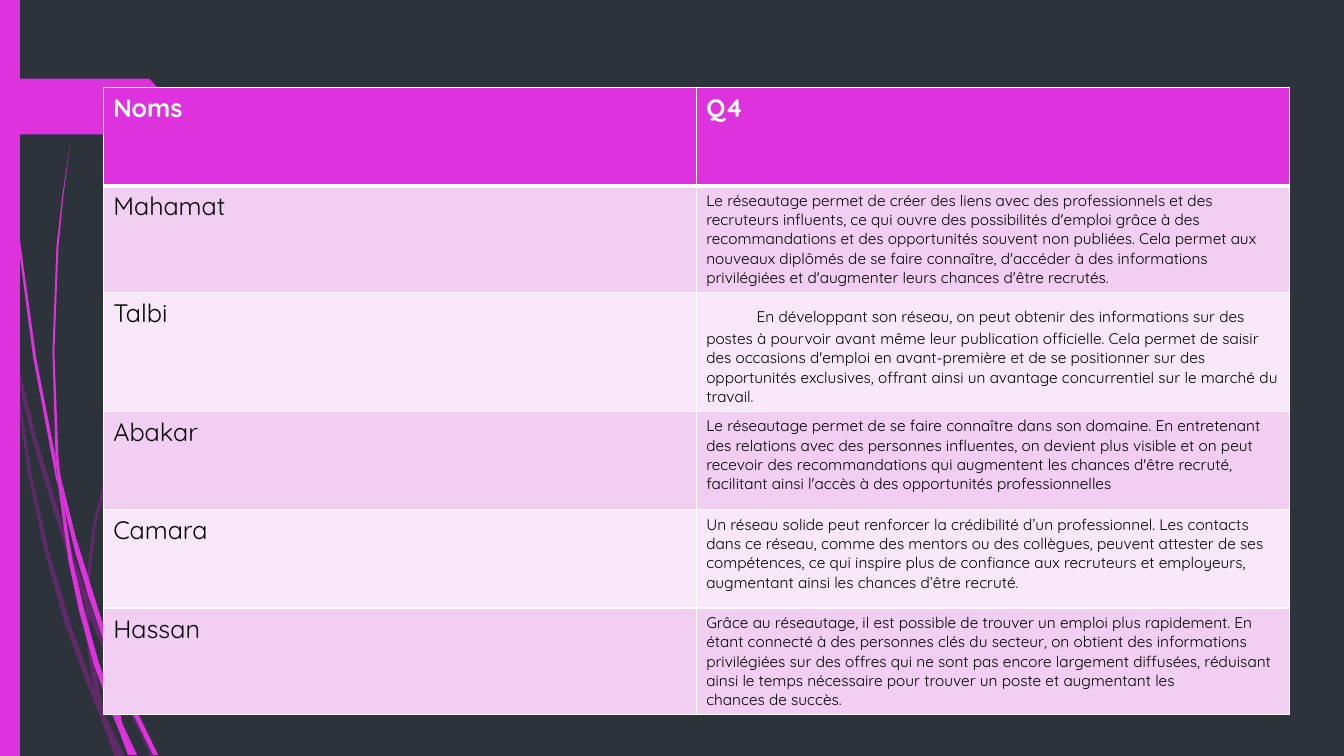
from dataclasses import dataclass

from lxml.etree import SubElement
from pptx import Presentation
from pptx.dml.color import RGBColor
from pptx.enum.shapes import MSO_SHAPE
from pptx.oxml.ns import qn
from pptx.util import Cm, Pt

COLORS = {
    "background": "2C333A",
    "accent": "DE32DE",
    "shade": "B01CB0",
    "band_dark": "F2CEF2",
    "band_light": "F9E8F9",
    "white": "FFFFFF",
    "black": "000000",
}
FONT = "Quicksand"
NO_BREAK = chr(160)
GRID = 2.54
PRECISION = 1000

SHADE_BLADES = [
    [(0.11, 3.5), (0.09, 3.22), (0, 2.82), (0, 2.99), (0.1, 3.44)],
    [(0.58, 5.22), (0.84, 5.99), (0.85, 5.86), (0.62, 5.2), (0.36, 4.34), (0.14, 3.45), (0.17, 3.76), (0.36, 4.5)],
    [(0.92, 6.07), (0.88, 5.96), (0.88, 6.1), (1.23, 6.94), (1.5, 7.51), (1.55, 7.51), (1.27, 6.92)],
    [(1.19, 7.51), (1.24, 7.51), (1.05, 7.11)],
    [(0.93, 6.83), (0.7, 6.19), (0.48, 5.45), (0.31, 4.69), (0.17, 3.76), (0.11, 3.5), (0.28, 4.7), (0.44, 5.46),
     (0.65, 6.21), (0.92, 6.93), (1.01, 7.14), (0.99, 7.07)],
    [(0.84, 5.99), (0.87, 6.46), (0.93, 6.83), (0.96, 6.92), (1.05, 7.11), (1.03, 7.06), (0.91, 6.46), (0.88, 6.08)],
    [(0.88, 5.84), (0.95, 5.22), (1.1, 4.62), (1.6, 3.49), (2.29, 2.45), (2.68, 1.98), (3.12, 1.54), (3.12, 1.53),
     (2.68, 1.97), (2.28, 2.44), (1.58, 3.48), (1.07, 4.61), (0.92, 5.22), (0.85, 5.84), (0.85, 5.86), (0.88, 5.96)],
    [(1.01, 7.14), (1.14, 7.51), (1.19, 7.51)],
    [(0.88, 6.08), (0.88, 5.96), (0.85, 5.86), (0.84, 5.99)],
    [(0.96, 6.92), (0.93, 6.83), (0.99, 7.07), (1.01, 7.14), (1.19, 7.51), (1.05, 7.11)],
]
ACCENT_BLADES = [
    [(0.07, 1.1), (0.17, 2.33), (0.33, 3.55), (0.56, 4.77), (0.57, 4.81), (0.55, 4.53), (0.36, 3.55), (0.19, 2.32),
     (0.08, 1.09), (0.05, 0.48), (0.04, 0), (0.03, 0), (0.04, 0.48)],
    [(0.88, 5.92), (1.06, 6.45), (1.06, 6.31), (0.93, 5.9), (0.75, 5.32), (0.6, 4.72), (0.64, 5.05), (0.75, 5.49)],
    [(1.13, 6.49), (1.1, 6.41), (1.11, 6.56), (1.32, 7.08), (1.52, 7.49), (1.57, 7.49), (1.36, 7.06)],
    [(1.1, 6.91), (0.98, 6.57), (0.84, 6.07), (0.72, 5.56), (0.64, 5.05), (0.57, 4.77), (0.68, 5.57), (0.79, 6.08),
     (0.93, 6.59), (1.11, 7.08), (1.17, 7.22), (1.16, 7.17)],
    [(0.6, 4.72), (0.58, 4.53), (0.54, 3.49), (0.58, 2.45), (0.63, 1.93), (0.7, 1.41), (0.62, 1.93), (0.56, 2.45),
     (0.52, 3.49), (0.55, 4.49)],
    [(1.33, 7.49), (1.36, 7.49), (1.22, 7.19)],
    [(0.57, 4.77), (0.64, 5.05), (0.6, 4.72), (0.55, 4.49), (0.55, 4.53)],
    [(1.11, 6.33), (1.15, 5.92), (1.25, 5.52), (1.58, 4.76), (2.05, 4.06), (2.31, 3.74), (2.61, 3.44), (2.6, 3.44),
     (2.31, 3.73), (2.04, 4.05), (1.56, 4.74), (1.22, 5.51), (1.11, 5.91), (1.06, 6.31), (1.1, 6.41)],
    [(1.17, 7.22), (1.27, 7.49), (1.31, 7.49)],
    [(1.06, 6.45), (1.1, 6.91), (1.16, 7.06), (1.22, 7.19), (1.21, 7.16), (1.11, 6.56), (1.09, 6.51)],
    [(1.06, 6.45), (1.09, 6.51), (1.11, 6.56), (1.1, 6.41), (1.06, 6.31)],
    [(1.16, 7.06), (1.1, 6.91), (1.16, 7.17), (1.17, 7.22), (1.3, 7.49), (1.33, 7.49), (1.22, 7.19)],
]

HEADINGS = ("Noms", "Q4")
ANSWERS = [
    ("Mahamat", "Le réseautage permet de créer des liens avec des professionnels et des recruteurs influents, ce qui ouvre des possibilités d'emploi grâce à des recommandations et des opportunités souvent non publiées. Cela permet aux nouveaux diplômés de se faire connaître, d'accéder à des informations privilégiées et d'augmenter leurs chances d'être recrutés."),
    ("Talbi", "\tEn développant son réseau, on peut obtenir des informations sur des postes à pourvoir avant même leur publication officielle. Cela permet de saisir des occasions d'emploi en avant-première et de se positionner sur des opportunités exclusives, offrant ainsi un avantage concurrentiel sur le marché du travail."),
    ("Abakar", "Le réseautage permet de se faire connaître dans son domaine. En entretenant des relations avec des personnes influentes, on devient plus visible et on peut recevoir des recommandations qui augmentent les chances d'être recruté, facilitant ainsi l'accès à des opportunités professionnelles"),
    ("Camara", "Un réseau solide peut renforcer la crédibilité d’un professionnel. Les contacts dans ce réseau, comme des mentors ou des collègues, peuvent attester de ses compétences, ce qui inspire plus de confiance aux recruteurs et employeurs, augmentant ainsi les chances d’être recruté."),
    ("Hassan", "Grâce au réseautage, il est possible de trouver un emploi plus rapidement. En étant connecté à des personnes clés du secteur, on obtient des informations privilégiées sur des offres qui ne sont pas encore largement diffusées, réduisant ainsi le temps nécessaire pour trouver un poste et augmentant les "
     + NO_BREAK.join(("chances", "de", "succès."))),
]


@dataclass
class Box:
    """A region of the slide, in centimetres."""
    left: float
    top: float
    width: float
    height: float


def color(name):
    """Return a named colour."""
    return RGBColor.from_string(COLORS[name])


def paint(shape, name, alpha=None):
    """Fill a shape flat, without line or shadow."""
    shape.shadow.inherit = False
    shape.line.fill.background()
    shape.fill.solid()
    shape.fill.fore_color.rgb = color(name)
    if alpha:
        tint = shape.fill._xPr.find(".//" + qn("a:srgbClr"))
        SubElement(tint, qn("a:alpha")).set("val", str(alpha * 1000))


def add_blades(slide, box, blades, name, alpha=None):
    """Draw the pieces that make up the tapering blades of grass."""
    for blade in blades:
        points = [(x * PRECISION, y * PRECISION) for x, y in blade]
        builder = slide.shapes.build_freeform(*points[0], scale=Cm(GRID) / PRECISION)
        builder.add_line_segments(points[1:], close=True)
        paint(builder.convert_to_shape(Cm(box.left), Cm(box.top)), name, alpha)


def add_decoration(slide, box):
    """Draw the blades, the side bar and the tag on the left edge."""
    add_blades(slide, box, SHADE_BLADES, "shade", 40)
    add_blades(slide, box, ACCENT_BLADES, "accent")
    bar = slide.shapes.add_shape(
        MSO_SHAPE.RECTANGLE, Cm(box.left), Cm(box.top), Cm(0.5), Cm(box.height))
    tag = slide.shapes.add_shape(
        MSO_SHAPE.PENTAGON, Cm(box.left), Cm(box.top + 1.98), Cm(4.42), Cm(1.41))
    tag.adjustments[0] = 0.47
    for shape in (bar, tag):
        paint(shape, "accent")


def add_borders(cell, row):
    """Give a cell white borders, thick below the heading row."""
    properties = cell._tc.get_or_add_tcPr()
    for side in "LRTB":
        thick = (side, row) in (("B", 0), ("T", 1))
        line = SubElement(properties, qn(f"a:ln{side}"), w=str(Pt(3 if thick else 1)))
        fill = SubElement(line, qn("a:solidFill"))
        SubElement(fill, qn("a:srgbClr"), val=COLORS["white"])


def write_cell(cell, text, size, ink, bold):
    """Write a cell, with a leading tab kept at heading size."""
    para = cell.text_frame.paragraphs[0]
    if text.startswith("\t"):
        stops = SubElement(para._p.get_or_add_pPr(), qn("a:tabLst"))
        SubElement(stops, qn("a:tab"), pos=str(Cm(1.27)), algn="l")
        parts = [("\t", 18), (text[1:], size)]
    else:
        parts = [(text, size)]
    for words, points in parts:
        span = para.add_run()
        span.text = words
        span.font.name = FONT
        span.font.size = Pt(points)
        span.font.bold = bold
        span.font.color.rgb = color(ink)


def add_answers(slide, box):
    """Add the table of names and answers."""
    rows = [HEADINGS, *ANSWERS]
    table = slide.shapes.add_table(
        len(rows), len(HEADINGS),
        Cm(box.left), Cm(box.top), Cm(box.width), Cm(box.height)).table
    for row, texts in enumerate(rows):
        heading = row == 0
        band = "accent" if heading else "band_dark" if row % 2 else "band_light"
        for column, text in enumerate(texts):
            cell = table.cell(row, column)
            add_borders(cell, row)
            cell.fill.solid()
            cell.fill.fore_color.rgb = color(band)
            size = 18 if heading or column == 0 else 11
            write_cell(cell, text, size, "white" if heading else "black", heading)


def main():
    """Build and save the deck."""
    deck = Presentation()
    page = Box(0, 0, 33.87, 19.05)
    deck.slide_width, deck.slide_height = Cm(page.width), Cm(page.height)
    slide = deck.slides.add_slide(deck.slide_layouts[6])
    slide.background.fill.solid()
    slide.background.fill.fore_color.rgb = color("background")
    add_decoration(slide, page)
    add_answers(slide, Box(2.6, 2.2, 29.89, 14.87))
    deck.save("out.pptx")


if __name__ == "__main__":
    main()
